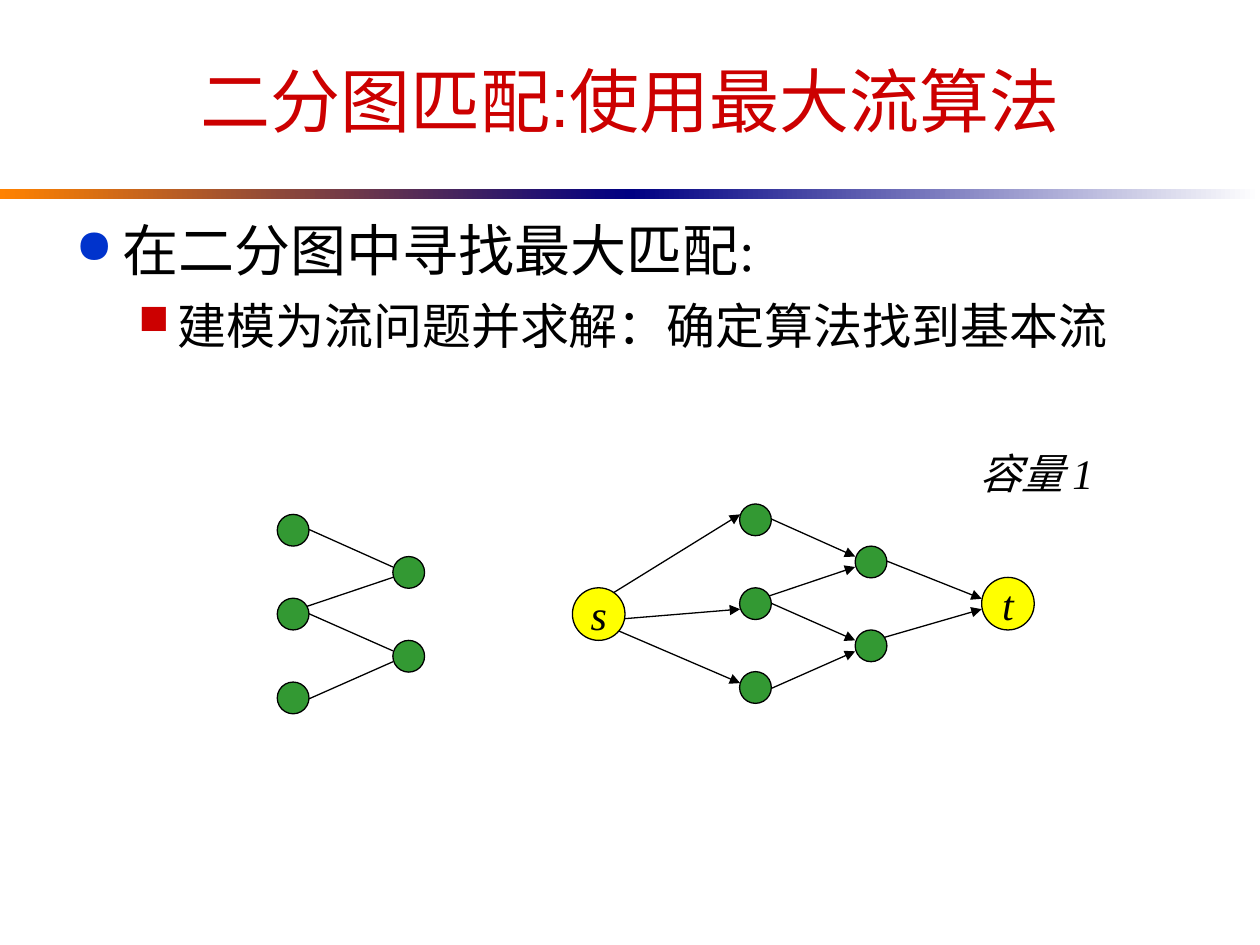
"""Build a slide on bipartite matching solved as a maximum flow problem."""
from dataclasses import dataclass

from lxml import etree
from pptx import Presentation
from pptx import util as u
from pptx.dml.color import RGBColor
from pptx.enum import shapes, text
from pptx.oxml import ns

COLOURS = {
    "title": "CC0000",
    "text": "000000",
    "dot": "0033CC",
    "square": "CC0000",
    "node": "339933",
    "terminal": "FFFF00",
    "orange": "FF8200",
    "navy": "000082",
    "white": "FFFFFF",
}
SERIF = "Times New Roman"
NODE_SIZE = 0.64
TERMINAL_SIZE = 1.06
ROW_STEP = 1.69
FLOW_SHIFT = (9.32, -0.21)


@dataclass(frozen=True)
class Edge:
    """A straight line between two points in centimetres."""
    x1: float
    y1: float
    x2: float
    y2: float


@dataclass(frozen=True)
class Circle:
    """A graph vertex with an optional label."""
    left: float
    top: float
    size: float = NODE_SIZE
    colour: str = "node"
    label: str = ""


@dataclass(frozen=True)
class Bullet:
    """A bulleted line with its marker and indents."""
    wording: str
    size: float
    marker: str
    colour: str
    margin: float
    hanging: float
    before: float


MATCHING_EDGES = [
    Edge(6.02, 10.58, 7.92, 11.43),
    Edge(6.02, 12.28, 7.92, 11.64),
    Edge(6.02, 14.18, 7.92, 13.34),
    Edge(6.02, 12.28, 7.92, 13.12),
]
TERMINAL_EDGES = [
    Edge(12.17, 12.07, 14.92, 10.37),
    Edge(12.37, 12.49, 14.92, 12.28),
    Edge(11.94, 12.49, 14.92, 13.77),
    Edge(17.65, 11.22, 19.79, 12.07),
    Edge(17.65, 12.9, 19.79, 12.28),
]
MATCHING_NODES = [Circle(5.59, 10.37 + row * ROW_STEP) for row in range(3)] + [
    Circle(7.92, 11.22 + row * ROW_STEP) for row in range(2)
]
TERMINALS = [
    Circle(11.54, 11.85, TERMINAL_SIZE, "terminal", "s"),
    Circle(19.79, 11.64, TERMINAL_SIZE, "terminal", "t"),
]
BULLETS = [
    Bullet("在二分图中寻找最大匹配:", 32, "●", "dot", 0.95, 0.95, 0),
    Bullet("建模为流问题并求解：确定算法找到基本流", 28, "■", "square", 2.06, 0.79, 7),
]


def rgb(name: str) -> RGBColor:
    """Look up a named colour."""
    return RGBColor.from_string(COLOURS[name])


def style_font(paragraph, size: float, face: str, colour: str = "text", italic: bool = False) -> None:
    """Set the font shared by every run of a paragraph."""
    font = paragraph.font
    font.size, font.name, font.italic = u.Pt(size), face, italic
    font.color.rgb = rgb(colour)


def add_box(page, left: float, top: float, width: float, height: float, wrap: bool = True):
    """Add a text box and return its frame."""
    frame = page.shapes.add_textbox(u.Cm(left), u.Cm(top), u.Cm(width), u.Cm(height)).text_frame
    frame.word_wrap = wrap
    return frame


def add_band(page, left: float, start: str, end: str) -> None:
    """Add one half of the gradient rule below the title."""
    band = page.shapes.add_shape(
        shapes.MSO_SHAPE.RECTANGLE, u.Cm(left), u.Cm(3.81), u.Cm(12.7), u.Cm(0.2))
    band.shadow.inherit = False
    band.line.fill.background()
    band.fill.gradient()
    band.fill.gradient_angle = 0
    for stop, colour, position in zip(band.fill.gradient_stops, (start, end), (0, 1)):
        stop.color.rgb = rgb(colour)
        stop.position = position


def add_edge(page, edge: Edge, shift: tuple[float, float] = (0, 0), arrow: bool = False) -> None:
    """Draw an edge, moved by the shift and optionally directed."""
    dx, dy = shift
    line = page.shapes.add_connector(
        shapes.MSO_CONNECTOR.STRAIGHT,
        u.Cm(edge.x1 + dx), u.Cm(edge.y1 + dy), u.Cm(edge.x2 + dx), u.Cm(edge.y2 + dy))
    line.line.color.rgb = rgb("text")
    line.line.width = u.Pt(0.75)
    if arrow:
        etree.SubElement(line.line._get_or_add_ln(), ns.qn("a:tailEnd"), type="triangle")
    etree.SubElement(line._element.spPr, ns.qn("a:effectLst"))


def add_circle(page, circle: Circle, shift: tuple[float, float] = (0, 0)) -> None:
    """Draw a vertex, moved by the shift."""
    dx, dy = shift
    oval = page.shapes.add_shape(
        shapes.MSO_SHAPE.OVAL, u.Cm(circle.left + dx), u.Cm(circle.top + dy),
        u.Cm(circle.size), u.Cm(circle.size))
    oval.shadow.inherit = False
    oval.fill.solid()
    oval.fill.fore_color.rgb = rgb(circle.colour)
    oval.line.color.rgb = rgb("text")
    oval.line.width = u.Pt(0.75)
    if circle.label:
        frame = oval.text_frame
        frame.word_wrap = False
        frame.vertical_anchor = text.MSO_ANCHOR.MIDDLE
        para = frame.paragraphs[0]
        para.text = circle.label
        para.alignment = text.PP_ALIGN.CENTER
        style_font(para, 24, SERIF, italic=True)


def fill_bullet(para, bullet: Bullet) -> None:
    """Write a bulleted line into a paragraph."""
    para.text = bullet.wording
    props = para._p.get_or_add_pPr()
    props.set("marL", str(u.Cm(bullet.margin)))
    props.set("indent", str(-u.Cm(bullet.hanging)))
    colour = etree.SubElement(props, ns.qn("a:buClr"))
    etree.SubElement(colour, ns.qn("a:srgbClr"), val=COLOURS[bullet.colour])
    etree.SubElement(props, ns.qn("a:buSzPct"), val="85000")
    etree.SubElement(props, ns.qn("a:buChar"), char=bullet.marker)
    para.space_before = u.Pt(bullet.before)
    style_font(para, bullet.size, SERIF)


def main() -> None:
    """Assemble and save the slide."""
    deck = Presentation()
    deck.slide_width, deck.slide_height = u.Cm(25.4), u.Cm(19.05)
    page = deck.slides.add_slide(deck.slide_layouts[6])

    add_band(page, 0, "orange", "navy")
    add_band(page, 12.7, "navy", "white")

    title = add_box(page, 1.27, 0.64, 22.86, 2.75)
    title.vertical_anchor = text.MSO_ANCHOR.MIDDLE
    heading = title.paragraphs[0]
    heading.text = "二分图匹配:使用最大流算法"
    heading.alignment = text.PP_ALIGN.CENTER
    style_font(heading, 40, "Arial", "title")

    body = add_box(page, 1.27, 4.23, 22.86, 12.07)
    for index, bullet in enumerate(BULLETS):
        fill_bullet(body.add_paragraph() if index else body.paragraphs[0], bullet)

    for edge in TERMINAL_EDGES:
        add_edge(page, edge, arrow=True)
    for shift, arrow in (((0, 0), False), (FLOW_SHIFT, True)):
        for edge in MATCHING_EDGES:
            add_edge(page, edge, shift, arrow)
        for node in MATCHING_NODES:
            add_circle(page, node, shift)
    for terminal in TERMINALS:
        add_circle(page, terminal)

    capacity = add_box(page, 19.38, 8.89, 3.02, 1.27, wrap=False).paragraphs[0]
    capacity.text = "容量 1"
    capacity.alignment = text.PP_ALIGN.CENTER
    style_font(capacity, 24, SERIF, italic=True)

    deck.save("out.pptx")


if __name__ == "__main__":
    main()
